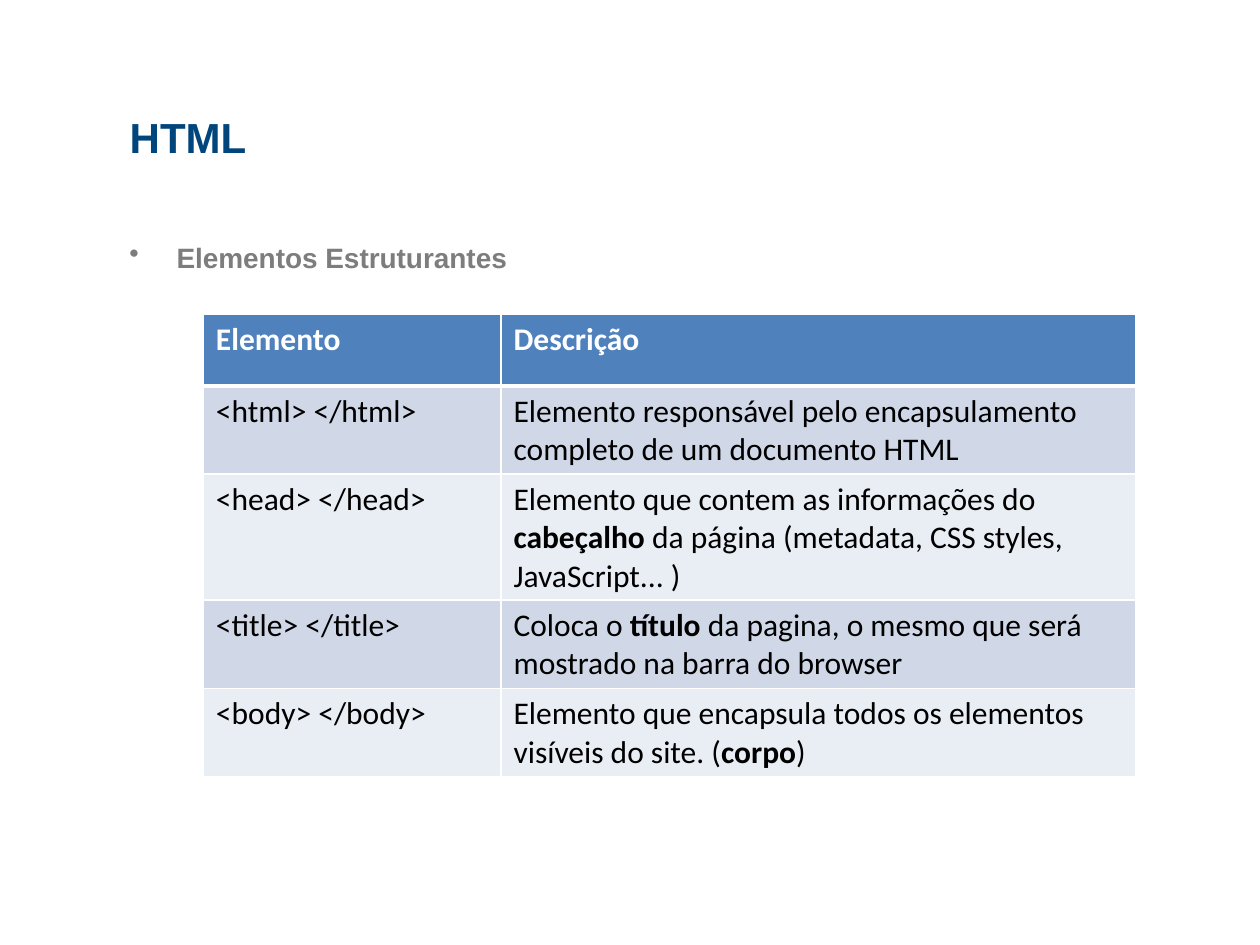
from lxml import etree
from pptx import Presentation
from pptx import util as u
from pptx.dml.color import RGBColor
from pptx.enum import text
from pptx.oxml.ns import qn

HEADER_FILL = "4F81BD"
BAND_FILLS = ("D0D8E8", "E9EDF4")
WHITE = "FFFFFF"

# Each cell is a list of spans; every second span is bold
ROWS = [
    (["Elemento"], ["Descrição"]),
    (["<html> </html>"],
     ["Elemento responsável pelo encapsulamento completo de um documento HTML"]),
    (["<head> </head>"],
     ["Elemento que contem as informações do ", "cabeçalho",
      " da página (metadata, CSS styles, JavaScript... )"]),
    (["<title> </title>"],
     ["Coloca o ", "título",
      " da pagina, o mesmo que será mostrado na barra do browser"]),
    (["<body> </body>"],
     ["Elemento que encapsula todos os elementos visíveis do site. (",
      "corpo", ")"]),
]


def color(value):
    return RGBColor.from_string(value)


def set_font(para, name, size, value, bold=False):
    para.font.name = name
    para.font.size = u.Pt(size)
    para.font.bold = bold
    para.font.color.rgb = color(value)


def format_title(slide, title):
    box = slide.shapes.title
    box.left, box.top = u.Cm(2.36), u.Cm(2.13)
    box.width, box.height = u.Cm(21.9), u.Cm(2.21)
    box.text_frame.text = title
    box.text_frame.vertical_anchor = text.MSO_ANCHOR.TOP
    para = box.text_frame.paragraphs[0]
    para.alignment = text.PP_ALIGN.LEFT
    set_font(para, "Arial", 24, "00457C", bold=True)


def add_bullet(slide, wording):
    box = slide.shapes.add_textbox(u.Cm(2.36), u.Cm(4.72), u.Cm(22.86), u.Cm(5.59))
    box.text_frame.word_wrap = True
    para = box.text_frame.paragraphs[0]
    para.text = wording
    set_font(para, "Arial", 16, "7D7D7D", bold=True)
    # Hanging indent and bullet sign
    properties = para._p.get_or_add_pPr()
    properties.set("marL", str(u.Cm(0.95)))
    properties.set("indent", str(u.Cm(-0.95)))
    bullet = etree.Element(qn("a:buChar"), char="•")
    properties.insert_element_before(bullet, "a:tabLst", "a:defRPr", "a:extLst")


def set_borders(cell, top, bottom):
    properties = cell._tc.get_or_add_tcPr()
    for side, width in (("L", 1), ("R", 1), ("T", top), ("B", bottom)):
        line = etree.SubElement(properties, qn(f"a:ln{side}"), w=str(u.Pt(width)))
        fill = etree.SubElement(line, qn("a:solidFill"))
        etree.SubElement(fill, qn("a:srgbClr"), val=WHITE)


def fill_cell(cell, spans, row):
    header = row == 0
    set_borders(cell, top=3 if row == 1 else 1, bottom=3 if header else 1)
    cell.fill.solid()
    cell.fill.fore_color.rgb = color(HEADER_FILL if header else BAND_FILLS[(row - 1) % 2])
    para = cell.text_frame.paragraphs[0]
    set_font(para, "Calibri", 18, WHITE if header else "000000", bold=header)
    for index, wording in enumerate(spans):
        span = para.add_run()
        span.text = wording
        # Runs state their format because the table style would override it
        span.font.name = "Calibri"
        span.font.size = u.Pt(18)
        span.font.bold = header or index % 2 == 1
        span.font.color.rgb = color(WHITE if header else "000000")


def add_elements_table(slide):
    table = slide.shapes.add_table(
        len(ROWS), 2, u.Cm(4.1), u.Cm(6.33), u.Cm(18.8), u.Cm(9.32)).table
    for column, width in zip(table.columns, (6, 12.8)):
        column.width = u.Cm(width)
    for row, cells in enumerate(ROWS):
        table.rows[row].height = u.Cm(1.45)
        for column, spans in enumerate(cells):
            fill_cell(table.cell(row, column), spans, row)


def main():
    deck = Presentation()
    deck.slide_width, deck.slide_height = u.Cm(25.4), u.Cm(19.05)
    page = deck.slides.add_slide(deck.slide_layouts[5])
    page.background.fill.solid()
    page.background.fill.fore_color.rgb = color(WHITE)

    # Heading, topic and table of elements
    format_title(page, "HTML")
    add_bullet(page, "Elementos Estruturantes")
    add_elements_table(page)
    deck.save("out.pptx")


if __name__ == "__main__":
    main()
